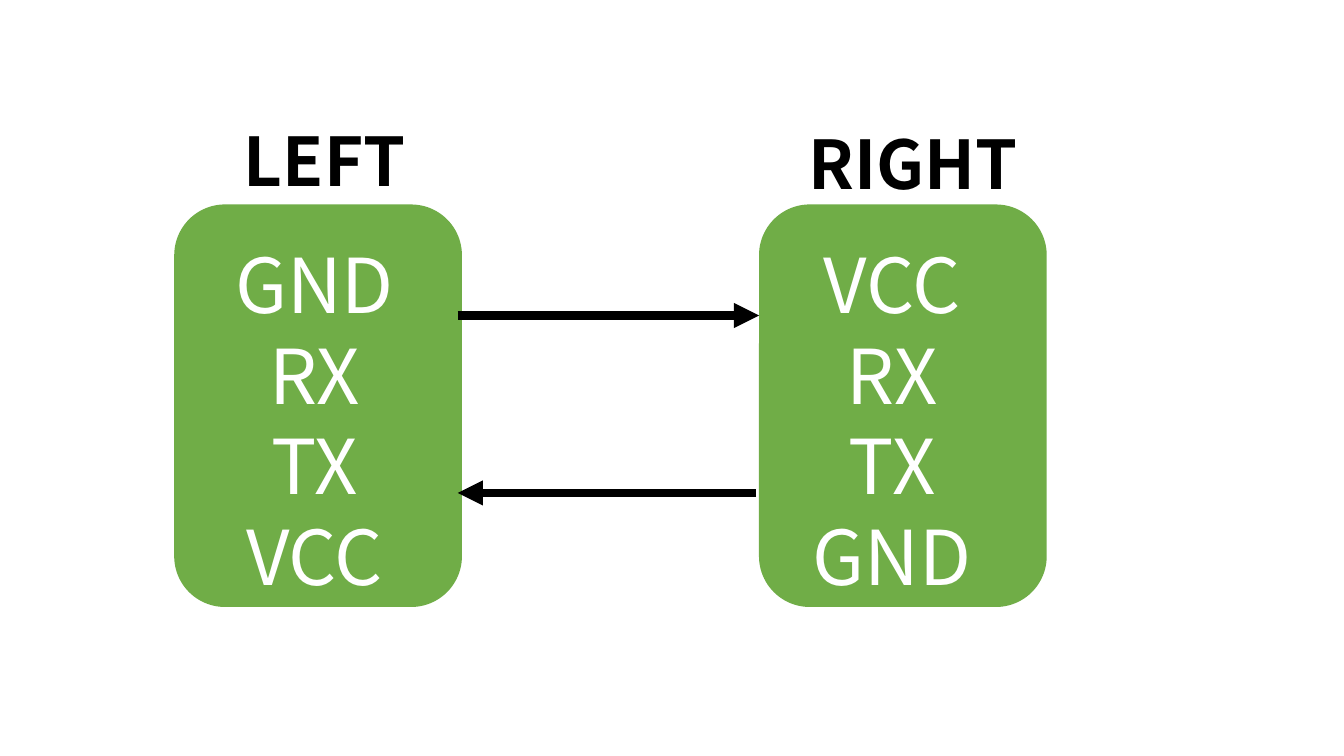
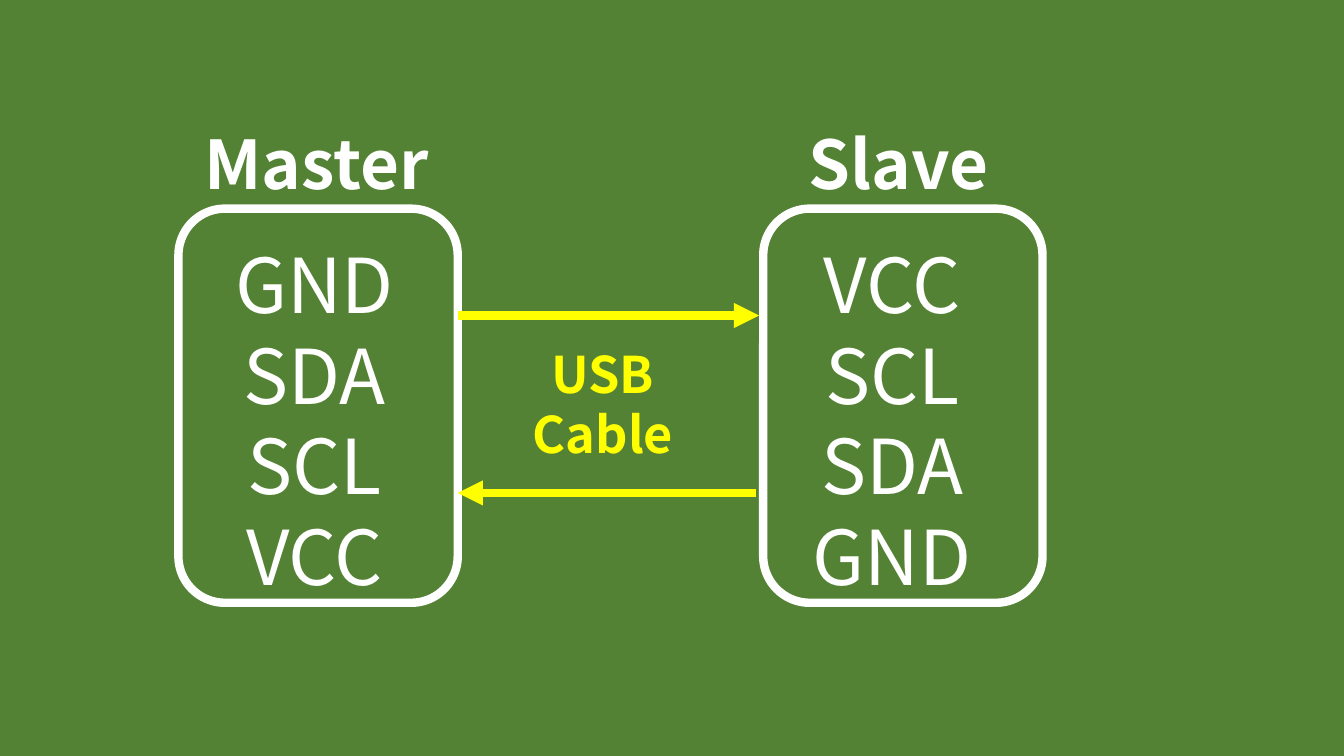
"""Two wiring diagrams: crossed serial lines and a bus over a USB cable."""
from dataclasses import dataclass

from lxml import etree
from pptx import Presentation
from pptx.dml.color import RGBColor
from pptx.enum import shapes, text
from pptx.oxml import ns
from pptx.util import Inches, Pt


@dataclass(frozen=True)
class Theme:
    font: str = "Noto Sans CJK JP"
    white: str = "FFFFFF"
    black: str = "000000"
    green: str = "70AD47"
    dark_green: str = "548235"
    yellow: str = "FFFF00"
    pin_size: int = 54
    title_size: int = 48
    cable_size: int = 36
    stroke: int = 6


theme = Theme()


def add_label(page, place, wording, size, color, bold=False, align=None):
    box = page.shapes.add_textbox(*map(Inches, place))
    frame = box.text_frame
    frame.word_wrap = True
    frame.auto_size = text.MSO_AUTO_SIZE.SHAPE_TO_FIT_TEXT
    frame.text = wording
    for para in frame.paragraphs:
        para.alignment = align
        for span in para.runs:
            span.font.name = theme.font
            span.font.size = Pt(size)
            span.font.bold = bold
            span.font.color.rgb = RGBColor.from_string(color)


def add_panel(page, preset, place, fill, outline=None):
    panel = page.shapes.add_shape(preset, *map(Inches, place))
    panel.shadow.inherit = False
    panel.fill.solid()
    panel.fill.fore_color.rgb = RGBColor.from_string(fill)
    if outline:
        panel.line.color.rgb = RGBColor.from_string(outline)
        panel.line.width = Pt(theme.stroke)
    else:
        panel.line.fill.background()


diagrams = [
    dict(backdrop=None, fill=theme.green, outline=theme.green,
         title_color=theme.black, arrow_color=theme.black, cable=None,
         devices=[("LEFT", 2.32, 1.13, "GND\nRX\nTX\nVCC"),
                  ("RIGHT", 7.92, 1.16, "VCC\nRX\nTX\nGND")]),
    dict(backdrop=theme.dark_green, fill=theme.dark_green, outline=theme.white,
         title_color=theme.white, arrow_color=theme.yellow, cable="USB\nCable",
         devices=[("Master", 1.93, 1.16, "GND\nSDA\nSCL\nVCC"),
                  ("Slave", 7.92, 1.16, "VCC\nSCL\nSDA\nGND")]),
]
columns = [(1.77, 1.77), (7.57, 7.5)]
arrows = [(4.54, 7.53, 3.13), (7.5, 4.54, 4.89)]

deck = Presentation()
deck.slide_width, deck.slide_height = Inches(13.33), Inches(7.5)
centered = text.PP_ALIGN.CENTER

for diagram in diagrams:
    page = deck.slides.add_slide(deck.slide_layouts[6])
    if diagram["backdrop"]:
        add_panel(page, shapes.MSO_SHAPE.RECTANGLE, (0, 0, 13.33, 7.5),
                  diagram["backdrop"])

    for (panel_left, pins_left), device in zip(columns, diagram["devices"]):
        title, title_left, title_top, pins = device
        add_panel(page, shapes.MSO_SHAPE.ROUNDED_RECTANGLE,
                  (panel_left, 2.07, 2.77, 3.91),
                  diagram["fill"], diagram["outline"])
        add_label(page, (pins_left, 2.31, 2.7, 3.74), pins,
                  theme.pin_size, theme.white, align=centered)
        add_label(page, (title_left, title_top, 3.91, 0.91), title,
                  theme.title_size, diagram["title_color"], bold=True)

    for start, end, height in arrows:
        arrow = page.shapes.add_connector(
            shapes.MSO_CONNECTOR.STRAIGHT,
            Inches(start), Inches(height), Inches(end), Inches(height))
        arrow.line.color.rgb = RGBColor.from_string(diagram["arrow_color"])
        arrow.line.width = Pt(theme.stroke)
        etree.SubElement(arrow.line._get_or_add_ln(), ns.qn("a:tailEnd"),
                         type="triangle")
        etree.SubElement(arrow._element.spPr, ns.qn("a:effectLst"))

    if diagram["cable"]:
        add_label(page, (4.63, 3.35, 2.7, 1.31), diagram["cable"],
                  theme.cable_size, theme.yellow, bold=True, align=centered)

deck.save("out.pptx")
